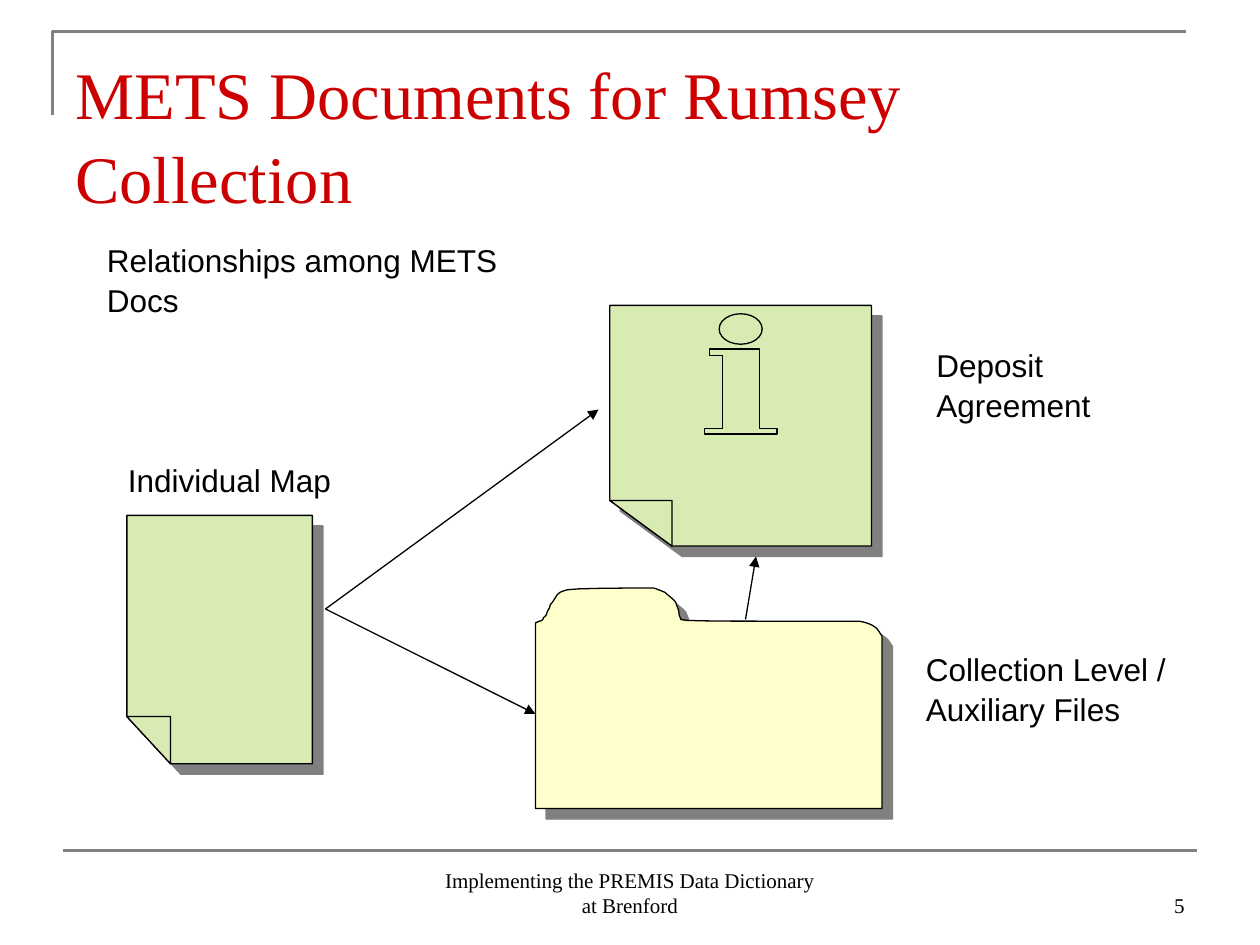
"""Build the slide on relationships among METS documents."""
import math
from lxml import etree
from pptx import Presentation, util as u
from pptx.dml.color import RGBColor
from pptx.enum import text
from pptx.oxml import parse_xml
from pptx.oxml.ns import nsdecls, qn

COLORS = {"title": "CC0000", "ink": "000000", "rule": "808080",
          "note": "D8EBB3", "folder": "FFFFCC"}
SERIF, SANS = "Times New Roman", "Arial"
TITLE = ("METS Documents for Rumsey Collection", 36, 21.6, 648, 90)
LABELS = [
    ("Individual Map", 66, 258, 138, 28.8),
    ("Collection Level / Auxiliary Files", 522, 366, 174, 50.4),
    ("Deposit Agreement", 528, 192, 138, 50.4),
    ("Relationships among METS Docs", 54, 132, 240, 50.4),
]
FOOTERS = [
    ("Implementing the PREMIS Data Dictionary at Brenford", 246, 492, 228, 36, text.PP_ALIGN.CENTER),
    ("5", 516, 492, 168, 36, text.PP_ALIGN.RIGHT),
]
CORNER = [(30, 66), (30, 18), (678, 18)]
RULE = (36, 486, 684, 486)
ARROWS = [(186, 348, 342, 234), (186, 348, 306, 408), (426, 354, 432, 318)]
AGREEMENT = (348.5, 174.5, 498, 312, 35.5, 26)
MAP = (72.5, 294.5, 178.5, 436.5, 25, 27)
INFO_STEM = [(405.5, 199.5), (434, 199.5), (434, 245), (444, 245), (444, 248),
             (402.5, 248), (402.5, 245), (413, 245), (413, 203), (405.5, 203)]
INFO_DOT = (423.3, 188, 12.3, 8.7)
FOLDER_START = (487.5, 355)
FOLDER_TAB = [
    (407, 355, 390, 355, 389, 354), (389, 353, 388, 352, 388, 350.5),
    (388, 348.5, 387, 347, 386, 344), (384.5, 342, 382, 340.5, 380, 338.5),
    (376.5, 337, 373.5, 336, 373.5, 336), (373.5, 336, 327, 336, 324.5, 337),
    (322, 337.5, 319, 338.5, 318, 340.5), (317, 342, 316, 344, 314.5, 345.5),
    (314, 348.5, 312.5, 349, 312.5, 350.5), (312, 351.5, 312, 352, 310.5, 353),
    (310.5, 354, 309.5, 355, 308, 355),
]
FOLDER_BODY = [(306, 356), (306, 462), (504, 462), (504, 363.5)]
FOLDER_CORNER = [(502.5, 361.5, 502, 359.5, 499.5, 358), (497.5, 356.5, 494, 355.5, 491, 355)]


def rgb(name):
    return RGBColor.from_string(COLORS[name])


def add_text(s, words, x, y, w, h, size=18, font=SANS, color="ink", top=3.6, spacing=1.0,
             align=text.PP_ALIGN.LEFT, anchor=text.MSO_ANCHOR.TOP):
    tf = s.shapes.add_textbox(*map(u.Pt, (x, y, w, h))).text_frame
    tf.word_wrap, tf.vertical_anchor, tf.margin_top = True, anchor, u.Pt(top)
    p = tf.paragraphs[0]
    p.alignment, p.line_spacing = align, spacing
    r = p.add_run()
    r.text = words
    r.font.size, r.font.name, r.font.color.rgb = u.Pt(size), font, rgb(color)


def add_line(s, ends, color="ink", width=0.75, arrow=False):
    c = s.shapes.add_connector(1, *map(u.Pt, ends))
    c.line.color.rgb, c.line.width = rgb(color), u.Pt(width)
    if arrow:
        etree.SubElement(c.line._get_or_add_ln(), qn("a:tailEnd"), type="triangle")
    etree.SubElement(c._element.spPr, qn("a:effectLst"))


def split_paths(sp):
    path_list = sp._element.spPr.find(".//" + qn("a:pathLst"))
    whole = path_list[0]
    path = None
    for step in list(whole):
        if step.tag == qn("a:moveTo"):
            path = etree.SubElement(path_list, qn("a:path"), dict(whole.attrib))
        path.append(step)
    path_list.remove(whole)


def add_outline(s, contours, fill=None, color="ink", width=0.75):
    scaled = [[(u.Pt(x), u.Pt(y)) for x, y in contour] for contour in contours]
    builder = s.shapes.build_freeform(*scaled[0][0], scale=1.0)
    for i, contour in enumerate(scaled):
        if i:
            builder.move_to(*contour[0])
        builder.add_line_segments(contour[1:], close=bool(fill))
    sp = builder.convert_to_shape()
    split_paths(sp)
    sp.shadow.inherit = False
    sp.line.color.rgb, sp.line.width = rgb(color), u.Pt(width)
    if not fill:
        sp.fill.background()
        return
    sp.fill.solid()
    sp.fill.fore_color.rgb = rgb(fill)
    sp._element.spPr.find(qn("a:effectLst")).append(parse_xml(
        f'<a:outerShdw {nsdecls("a")} dist="{u.Pt(8.5)}" dir="2700000" algn="ctr" rotWithShape="0">'
        f'<a:srgbClr val="{COLORS["rule"]}"/></a:outerShdw>'))


def note(left, top, right, bottom, fold_w, fold_h):
    fold = [(left, bottom - fold_h), (left + fold_w, bottom - fold_h), (left + fold_w, bottom)]
    return [[(left, top), (right, top), (right, bottom), fold[2], fold[0]], fold]


def ellipse(cx, cy, rx, ry, n=24):
    angles = [2 * math.pi * i / n for i in range(n)]
    return [(cx + rx * math.cos(a), cy + ry * math.sin(a)) for a in angles]


def curve(start, pieces, n=5):
    points = []
    for x1, y1, x2, y2, x3, y3 in pieces:
        corners = (start, (x1, y1), (x2, y2), (x3, y3))
        for t in (i / n for i in range(1, n + 1)):
            weights = [math.comb(3, k) * t**k * (1 - t)**(3 - k) for k in range(4)]
            points.append(tuple(sum(w * c[axis] for w, c in zip(weights, corners)) for axis in (0, 1)))
        start = corners[3]
    return points


def main():
    prs = Presentation()
    prs.slide_width, prs.slide_height = u.Pt(720), u.Pt(540)
    s = prs.slides.add_slide(prs.slide_layouts[6])
    add_outline(s, [CORNER], color="rule", width=1.5)
    add_line(s, RULE, color="rule", width=1.5)
    add_text(s, *TITLE, size=38, font=SERIF, color="title", top=6.5, spacing=1.05)
    add_outline(s, note(*AGREEMENT) + [INFO_STEM, ellipse(*INFO_DOT)], fill="note")
    add_outline(s, note(*MAP), fill="note")
    folder = [FOLDER_START, *curve(FOLDER_START, FOLDER_TAB), *FOLDER_BODY,
              *curve(FOLDER_BODY[-1], FOLDER_CORNER)]
    add_outline(s, [folder], fill="folder")
    for label in LABELS:
        add_text(s, *label, top=4.6, spacing=1.05)
    for ends in ARROWS:
        add_line(s, ends, arrow=True)
    for *footer, align in FOOTERS:
        add_text(s, *footer, size=12, font=SERIF, align=align, anchor=text.MSO_ANCHOR.BOTTOM)
    prs.save("out.pptx")


if __name__ == "__main__":
    main()
